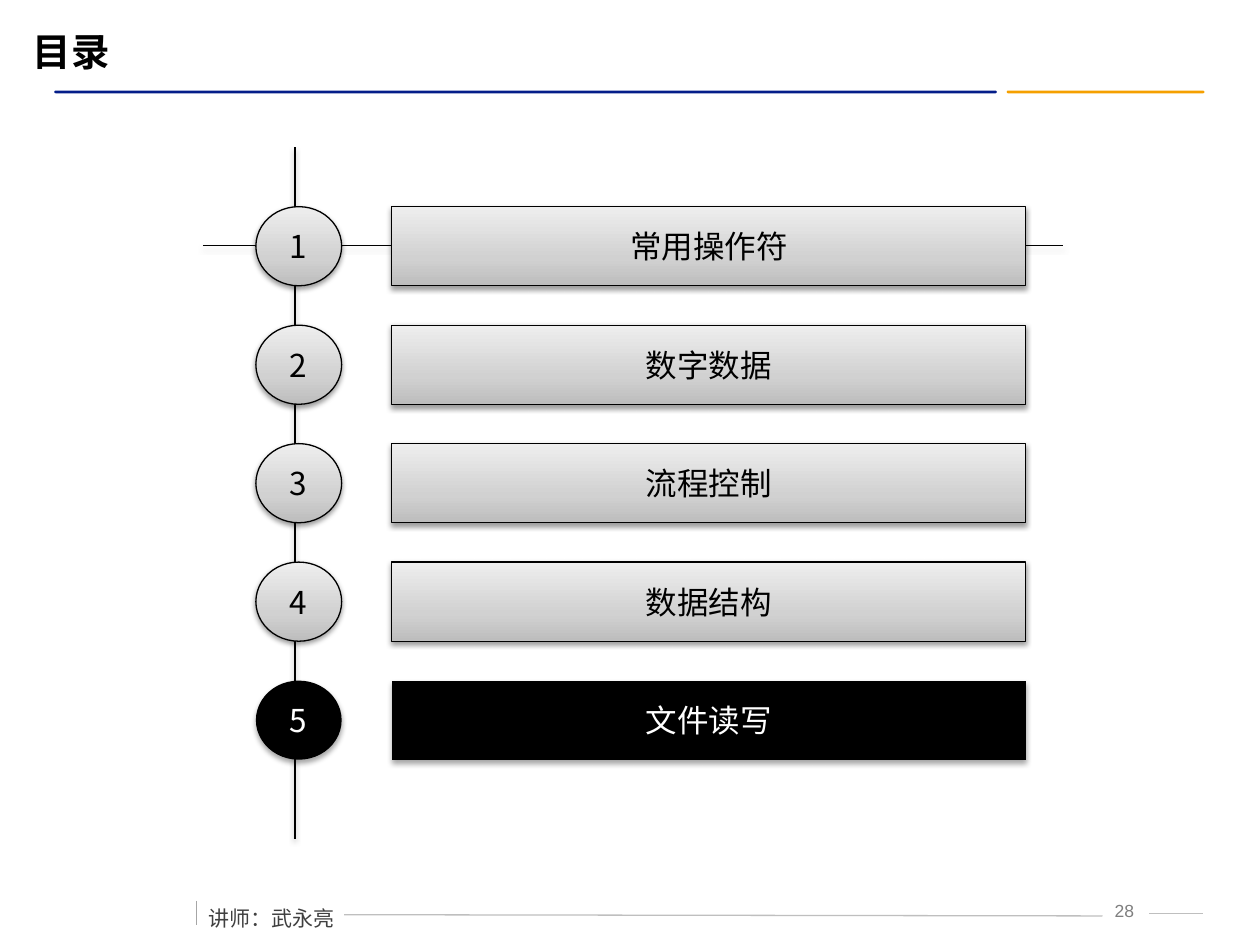
from copy import deepcopy

from lxml import etree
from pptx import Presentation
from pptx.dml.color import RGBColor
from pptx.enum import shapes, text
from pptx.oxml import ns
from pptx.util import Pt

TITLE = "目录"
LECTURER = "讲师：武永亮"
PAGE_NUMBER = " 28"
TOPICS = ["常用操作符", "数字数据", "流程控制", "数据结构", "文件读写"]
CURRENT = 5

BLACK = RGBColor(0x00, 0x00, 0x00)
WHITE = RGBColor(0xFF, 0xFF, 0xFF)
NAVY = RGBColor(0x03, 0x1D, 0x89)
ORANGE = RGBColor(0xF5, 0xA0, 0x00)
DARK_GRAY = RGBColor(0x40, 0x40, 0x40)
MID_GRAY = RGBColor(0x7F, 0x7F, 0x7F)
TICK_GRAY = RGBColor(0xA6, 0xA6, 0xA6)
RULE_GRAY = RGBColor(0xBF, 0xBF, 0xBF)
SILVER = [
    (0, RGBColor(0xBD, 0xBD, 0xBD)),
    (0.35, RGBColor(0xD1, 0xD1, 0xD1)),
    (1, RGBColor(0xEE, 0xEE, 0xEE)),
]

LATIN, CJK = "Arial", "Noto Sans CJK SC"
ROW_TOP, ROW_PITCH, ROW_HEIGHT = 118.1, 67.7, 45.2
COLUMNS = [
    (shapes.MSO_SHAPE.OVAL, 146.2, 49),
    (shapes.MSO_SHAPE.ACTION_BUTTON_CUSTOM, 223.9, 362.2),
]
HEADER_RULES = [(575.3, 113, ORANGE), (31, 538.6, NAVY)]
FOOTER_RULES = [
    (196.6, 522.7, 630, 523.4, RULE_GRAY),
    (656.6, 522, 687.6, 522, RULE_GRAY),
    (112.3, 514.8, 112.3, 528.5, TICK_GRAY),
]
AXES = [(168.5, 84.2, 168.5, 479.5, BLACK), (115.9, 140.4, 607.7, 140.4, BLACK)]


def set_effects(item, opacity=None, distance=1.6):
    effects = etree.SubElement(item._element.spPr, ns.qn("a:effectLst"))
    if opacity is None:
        return
    shadow = etree.SubElement(
        effects, ns.qn("a:outerShdw"), blurRad=str(Pt(3.1)),
        dist=str(Pt(distance)), dir="5400000", rotWithShape="0")
    color = etree.SubElement(shadow, ns.qn("a:srgbClr"), val=str(BLACK))
    etree.SubElement(color, ns.qn("a:alpha"), val=str(opacity * 1000))


def add_rule(page, x1, y1, x2, y2, color, opacity=None):
    rule = page.shapes.add_connector(
        shapes.MSO_CONNECTOR.STRAIGHT, Pt(x1), Pt(y1), Pt(x2), Pt(y2))
    rule.line.color.rgb = color
    rule.line.width = Pt(0.75)
    set_effects(rule, opacity)


def write(box, words, size, color, font=CJK, align=text.PP_ALIGN.CENTER, bold=False):
    para = box.text_frame.paragraphs[0]
    para.alignment = align
    span = para.add_run()
    span.text = words
    span.font.size = Pt(size)
    span.font.name = font
    span.font.bold = bold
    span.font.color.rgb = color
    etree.SubElement(span.font._element, ns.qn("a:ea"), typeface=CJK)
    return para


def fill_silver(shape):
    shape.fill.gradient()
    shape.fill.gradient_angle = 90
    first = shape._element.spPr.find(".//" + ns.qn("a:gs"))
    first.addnext(deepcopy(first))
    for stop, (position, color) in zip(shape.fill.gradient_stops, SILVER):
        stop.position = position
        stop.color.rgb = color


def add_topic_part(page, kind, left, top, width, words, current):
    shape = page.shapes.add_shape(kind, Pt(left), Pt(top), Pt(width), Pt(ROW_HEIGHT))
    if current:
        shape.fill.solid()
        shape.fill.fore_color.rgb = BLACK
        shape.line.fill.background()
        set_effects(shape, 35, 1.8)
    else:
        fill_silver(shape)
        shape.line.color.rgb = BLACK
        shape.line.width = Pt(0.75)
        set_effects(shape, 38)
    shape.text_frame.word_wrap = False
    shape.text_frame.vertical_anchor = text.MSO_ANCHOR.MIDDLE
    write(shape, words, 18, WHITE if current else BLACK)


deck = Presentation()
deck.slide_width, deck.slide_height = Pt(720), Pt(540)
page = deck.slides.add_slide(deck.slide_layouts[5])

title = page.shapes.title
title.left, title.top, title.width, title.height = Pt(11.5), Pt(12.2), Pt(677.5), Pt(33.8)
title.text_frame.vertical_anchor = text.MSO_ANCHOR.MIDDLE
write(title, TITLE, 22, BLACK, LATIN, text.PP_ALIGN.LEFT, True)

for left, width, color in HEADER_RULES:
    bar = page.shapes.add_shape(
        shapes.MSO_SHAPE.ROUNDED_RECTANGLE, Pt(left), Pt(51.8), Pt(width), Pt(1.5))
    bar.adjustments[0] = 0.5
    bar.fill.solid()
    bar.fill.fore_color.rgb = color
    bar.line.fill.background()
    bar.shadow.inherit = False

for rule in FOOTER_RULES:
    add_rule(page, *rule)

number = page.shapes.add_textbox(Pt(624.2), Pt(510.5), Pt(33.8), Pt(18))
number.text_frame.word_wrap = True
write(number, PAGE_NUMBER, 10, MID_GRAY, LATIN)

lecturer = page.shapes.add_textbox(Pt(112.3), Pt(506.9), Pt(87.1), Pt(25.9))
lecturer.text_frame.word_wrap = False
lecturer.text_frame.auto_size = text.MSO_AUTO_SIZE.SHAPE_TO_FIT_TEXT
para = write(lecturer, LECTURER, 12, DARK_GRAY, align=text.PP_ALIGN.LEFT)
para.line_spacing = 1.5
para.space_before = Pt(6)

for axis in AXES:
    add_rule(page, *axis, opacity=38)

for index, topic in enumerate(TOPICS):
    top = ROW_TOP + index * ROW_PITCH
    for (kind, left, width), words in zip(COLUMNS, (str(index + 1), topic)):
        add_topic_part(page, kind, left, top, width, words, index + 1 == CURRENT)

deck.save("out.pptx")
